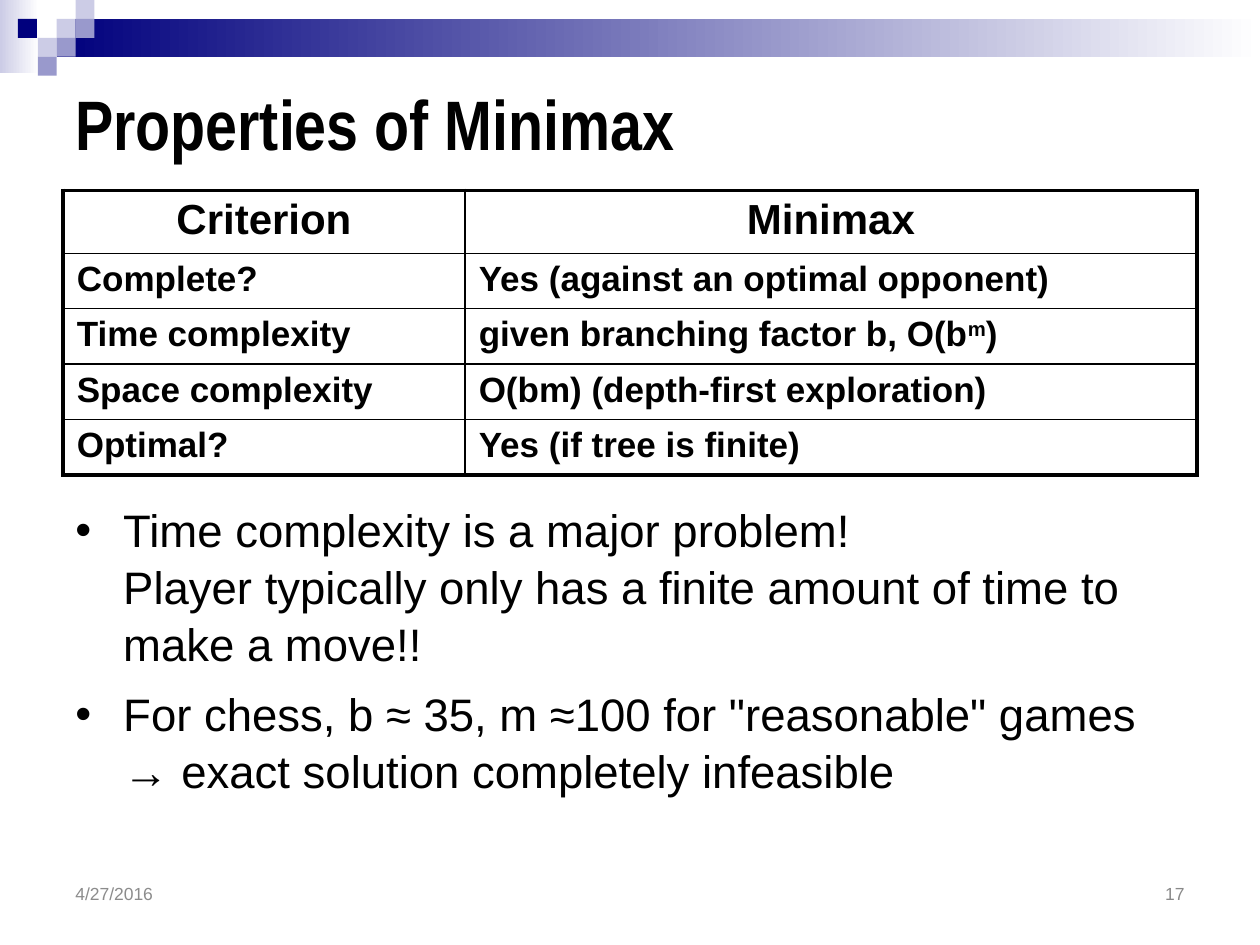
from dataclasses import dataclass

from lxml import etree
from pptx import Presentation
from pptx.dml.color import RGBColor
from pptx.enum import shapes, text
from pptx.oxml import ns
from pptx.util import Inches, Pt


@dataclass(frozen=True)
class Theme:
    """Colours, fonts and type sizes of the slide."""
    ink: str = "000000"
    navy: str = "00007D"
    mid: str = "9999CC"
    pale: str = "CCCCE6"
    white: str = "FFFFFF"
    date: str = "8C8C8C"
    page: str = "898989"
    font: str = "Arial"
    narrow: str = "Arial Narrow"
    title: int = 40
    head: int = 24
    cell: int = 20
    body: int = 26
    foot: int = 10
    thin: float = 1
    thick: float = 2.25


T = Theme()
LEFT, MID, RIGHT = text.PP_ALIGN.LEFT, text.PP_ALIGN.CENTER, text.PP_ALIGN.RIGHT
ROWS = [
    ("Criterion", "Minimax"),
    ("Complete?", "Yes (against an optimal opponent)"),
    ("Time complexity", "given branching factor b, O(b^m^)"),
    ("Space complexity", "O(bm) (depth-first exploration)"),
    ("Optimal?", "Yes (if tree is finite)"),
]
POINTS = [
    "Time complexity is a major problem!\n"
    "Player typically only has a finite amount of time to make a move!!",
    'For chess, b ≈ 35, m ≈100 for "reasonable" games\n'
    "→ exact solution completely infeasible",
]


def write(para, words, size, color=T.ink, font=T.font, bold=False, align=LEFT):
    """Write words into a paragraph; ^marks^ raise text and newlines break lines."""
    para.alignment = align
    for row, line in enumerate(words.split("\n")):
        if row:
            para.add_line_break()
        for part, piece in enumerate(line.split("^")):
            run = para.add_run()
            run.text = piece
            run.font.size, run.font.name, run.font.bold = Pt(size), font, bold
            run.font.color.rgb = RGBColor.from_string(color)
            if part % 2:
                run.font._element.set("baseline", "30000")


def box(slide, x, y, w, h, anchor=text.MSO_ANCHOR.MIDDLE):
    """Add a wrapping text box and return its frame."""
    frame = slide.shapes.add_textbox(Inches(x), Inches(y), Inches(w), Inches(h)).text_frame
    frame.word_wrap = True
    frame.vertical_anchor = anchor
    return frame


def block(slide, x, y, w, h, *colors):
    """Add a borderless rectangle, filled flat or with a two-colour fade."""
    rect = slide.shapes.add_shape(
        shapes.MSO_SHAPE.RECTANGLE, Inches(x), Inches(y), Inches(w), Inches(h))
    rect.shadow.inherit = False
    rect.line.fill.background()
    if len(colors) == 1:
        rect.fill.solid()
        rect.fill.fore_color.rgb = RGBColor.from_string(colors[0])
        return
    rect.fill.gradient()
    rect.fill.gradient_angle = 0
    for stop, color in zip(rect.fill.gradient_stops, colors):
        stop.color.rgb = RGBColor.from_string(color)


def band(slide):
    """Draw the fading band and the squares at the top."""
    block(slide, 0, 0, 0.31, 0.58, T.pale, T.white)
    block(slide, 0.45, 0.15, 9.55, 0.3, T.navy, T.white)
    side = 0.15
    for col, row, color in [(3, 1, T.pale), (4, 0, T.pale), (4, 1, T.mid), (2, 2, T.pale),
                            (0.95, 1, T.navy), (3, 2, T.mid), (2, 3, T.mid)]:
        block(slide, col * side, row * side, side, side, color)


def edge(cell, sides):
    """Set the cell's borders from pairs of side and outer flag."""
    props = cell._tc.get_or_add_tcPr()
    for spot, (side, outer) in enumerate(sides):
        line = etree.Element(ns.qn(f"a:ln{side}"), w=str(Pt(T.thick if outer else T.thin)))
        fill = etree.SubElement(line, ns.qn("a:solidFill"))
        etree.SubElement(fill, ns.qn("a:srgbClr"), val=T.ink)
        props.insert(spot, line)


def grid(slide):
    """Add the table of criteria."""
    table = slide.shapes.add_table(
        len(ROWS), 2, Inches(0.5), Inches(1.51), Inches(9), Inches(2.26)).table
    table.horz_banding = table.first_row = False
    for col, width in zip(table.columns, (3.19, 5.81)):
        col.width = Inches(width)
    last = len(ROWS) - 1
    for i, row in enumerate(ROWS):
        table.rows[i].height = Inches(0.44 if i else 0.5)
        for j, words in enumerate(row):
            cell = table.cell(i, j)
            cell.margin_left = cell.margin_right = Inches(0.11)
            cell.margin_top = cell.margin_bottom = Inches(0.05)
            cell.fill.background()
            edge(cell, [("L", j == 0), ("R", j == 1), ("T", i == 0), ("B", i == last)])
            write(cell.text_frame.paragraphs[0], words, T.cell if i else T.head,
                  bold=True, align=LEFT if i else MID)


def points(slide):
    """Add the bulleted remarks."""
    frame = box(slide, 0.5, 3.92, 9, 3, text.MSO_ANCHOR.TOP)
    for i, words in enumerate(POINTS):
        para = frame.add_paragraph() if i else frame.paragraphs[0]
        write(para, words, T.body)
        para.space_before, para.line_spacing = Pt(8), 1.04
        props = para._p.get_or_add_pPr()
        props.set("marL", str(Inches(0.38)))
        props.set("indent", str(-Inches(0.38)))
        etree.SubElement(props, ns.qn("a:buFont"), typeface=T.font)
        etree.SubElement(props, ns.qn("a:buChar"), char="•")


def main():
    """Build the slide and save it."""
    deck = Presentation()
    deck.slide_width, deck.slide_height = Inches(10), Inches(7.5)
    slide = deck.slides.add_slide(deck.slide_layouts[6])
    band(slide)
    write(box(slide, 0.5, 0.45, 9, 1.05).paragraphs[0], "Properties of Minimax",
          T.title, font=T.narrow, bold=True)
    grid(slide)
    points(slide)
    for x, words, color, align in [(0.5, "4/27/2016", T.date, LEFT),
                                   (7.17, "17", T.page, RIGHT)]:
        write(box(slide, x, 6.92, 2.33, 0.35).paragraphs[0], words, T.foot,
              color=color, align=align)
    deck.save("out.pptx")


main()
